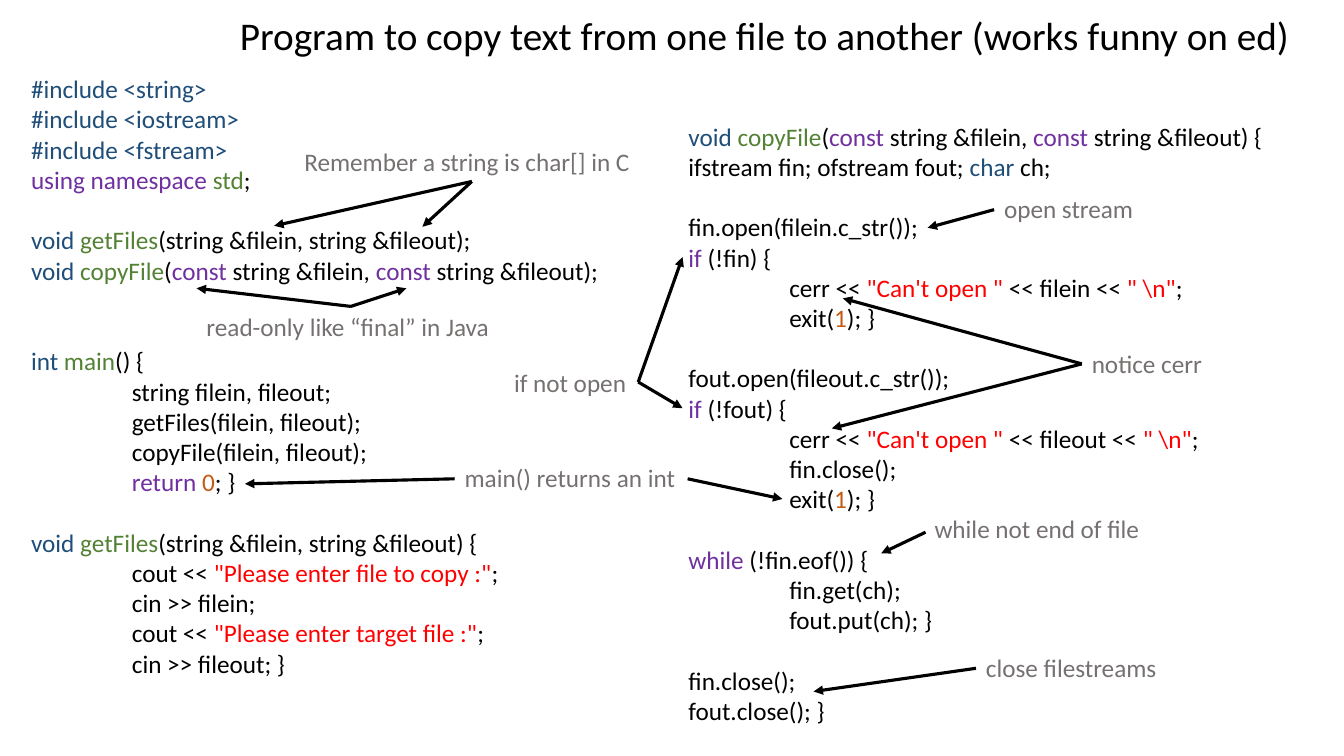
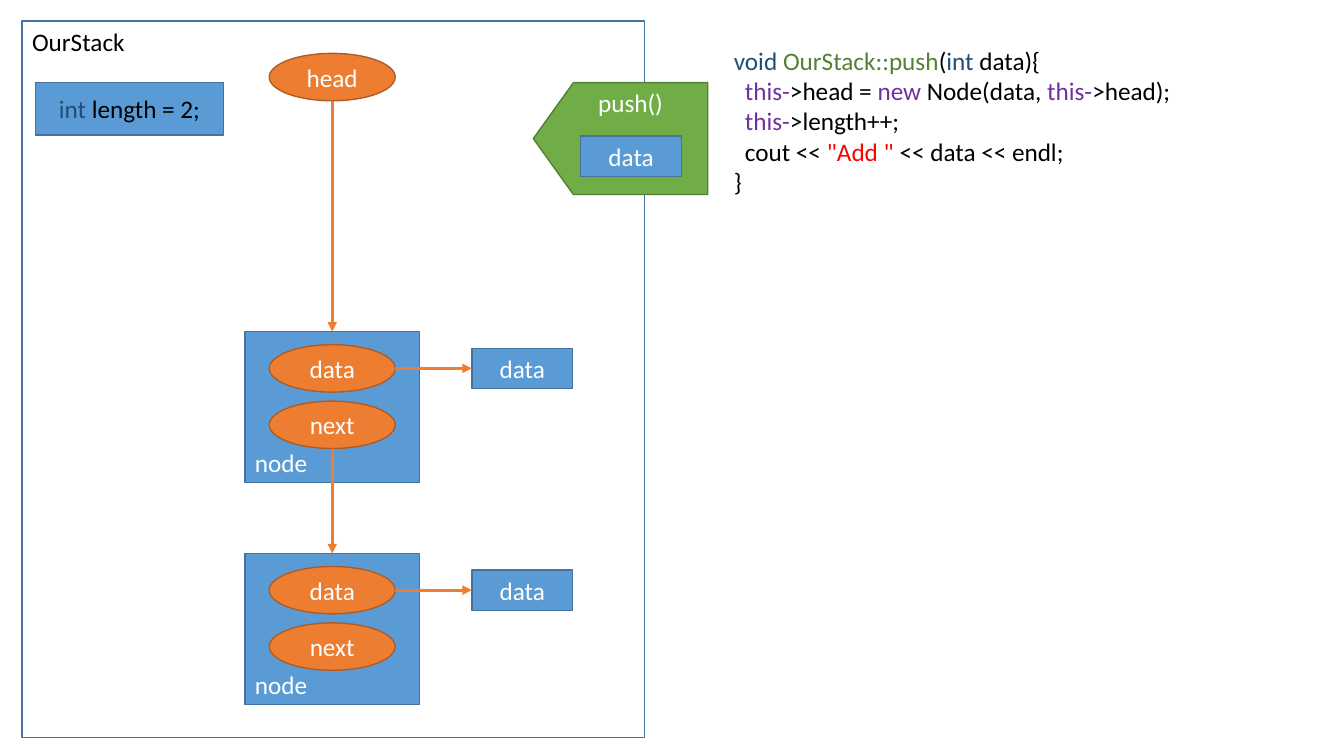
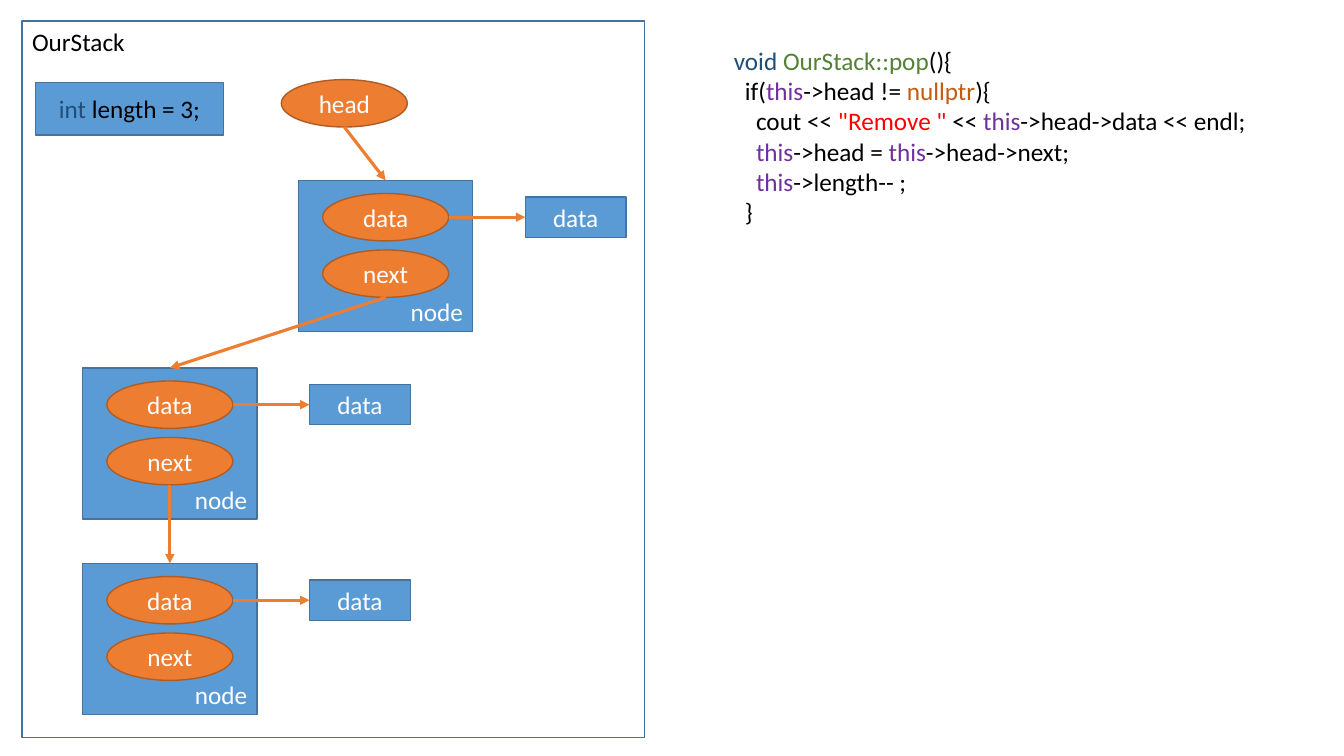
"""Build three slides on C++ file copying and a linked stack."""
from lxml import etree
from pptx import Presentation
from pptx.dml.color import RGBColor
from pptx.enum.shapes import MSO_CONNECTOR, MSO_SHAPE
from pptx.enum.text import MSO_ANCHOR, MSO_AUTO_SIZE, PP_ALIGN
from pptx.oxml.ns import qn
from pptx.util import Inches, Pt

LEFT, CENTER, RIGHT = PP_ALIGN.LEFT, PP_ALIGN.CENTER, PP_ALIGN.RIGHT
TOP, MIDDLE, BOTTOM = MSO_ANCHOR.TOP, MSO_ANCHOR.MIDDLE, MSO_ANCHOR.BOTTOM
RECTANGLE, ELLIPSE, PLATE = MSO_SHAPE.RECTANGLE, MSO_SHAPE.OVAL, MSO_SHAPE.PENTAGON
GROW, STRAIGHT = MSO_AUTO_SIZE.SHAPE_TO_FIT_TEXT, MSO_CONNECTOR.STRAIGHT

FONT, SIZE, LINE_PITCH = "Calibri", 18, 21.6
BLACK, WHITE, GRAY = "000000", "FFFFFF", "767171"
BLUE, BLUE_EDGE = "5B9BD5", "43739E"
ORANGE, ORANGE_EDGE = "ED7D31", "AF5C24"
GREEN, GREEN_EDGE = "70AD47", "538035"
SYNTAX = {"type": "1F4E79", "key": "7030A0", "name": "548235", "num": "C55A11", "str": "FF0000"}

TITLE = "Program to copy text from one file to another (works funny on ed)"
MAIN_CODE = [
    "`type:#include <string>`",
    "`type:#include <iostream>`",
    "`type:#include <fstream>`",
    "`key:using namespace ``name:std`;",
    "",
    "`type:void ``name:getFiles`(string &filein, string &fileout);",
    "`type:void ``name:copyFile`(`key:const` string &filein, `key:const` string &fileout);",
    "",
    "",
    "`type:int ``name:main`() {",
    "\tstring filein, fileout;",
    "\tgetFiles(filein, fileout);",
    "\tcopyFile(filein, fileout);",
    "\t`key:return ``num:0`; }",
    "",
    "`type:void ``name:getFiles`(string &filein, string &fileout) {",
    "\tcout << `str:\"Please enter file to copy :\"`;",
    "\tcin >> filein;",
    "\tcout << `str:\"Please enter target file :\"`;",
    "\tcin >> fileout; }",
]
COPY_CODE = [
    "`type:void ``name:copyFile`(`key:const `string &filein, `key:const` string &fileout) {",
    "ifstream fin; ofstream fout; `type:char `ch;",
    "",
    "fin.open(filein.c_str());",
    "`key:if` (!fin) {",
    "\tcerr << `str:\"Can't open \"` << filein << `str:\" \\n\"`;",
    "\texit(`num:1`); }",
    "",
    "fout.open(fileout.c_str());",
    "`key:if` (!fout) {",
    "\tcerr << `str:\"Can't open \"` << fileout << `str:\" \\n\"`;",
    "\tfin.close();",
    "\texit(`num:1`); }",
    "",
    "`key:while` (!fin.eof()) {",
    "\tfin.get(ch);",
    "\tfout.put(ch); }",
    "",
    "fin.close();",
    "fout.close(); }",
]
PUSH_CODE = [
    "`type:void ``name:OurStack::push`(`type:int `data){",
    "\t`key:this-`>head = `key:new` Node(data, `key:this-`>head);",
    "\t`key:this-`>length++;",
    "\tcout << `str:\"Add \" `<< data << endl;",
    "}",
]
POP_CODE = [
    "`type:void ``name:OurStack::pop`(){",
    "\tif(`key:this`->head != `num:nullptr`){",
    "\t\tcout << `str:\"Remove \" `<< `key:this`->head->data << endl;",
    "\t\t`key:this`->head = `key:this`->head->next;",
    "\t\t`key:this`->length-- ;",
    "\t}",
]
NOTES = [
    ("open stream", (9.86, 1.87, 1.5), (9.86, 2.08), [(9.2, 2.26)]),
    ("notice cerr", (10.73, 3.41, 1.31), (10.73, 3.61), [(8.36, 2.96), (8.25, 4.25)]),
    ("while not end of file", (9.17, 5.04, 2.25), (9.18, 5.28), [(8.74, 5.49)]),
    ("close filestreams", (9.68, 6.42, 1.91), (9.68, 6.63), [(8.07, 6.86)]),
    ("if not open", (5, 3.59, 1.33), (6.33, 3.79), [(6.77, 2.55), (6.77, 4.05)]),
    ("read-only like “final” in Java", (1.95, 3.04, 3), (3.48, 3.04),
     [(1.95, 2.86), (4.03, 2.86)]),
    ("main() returns an int", (4.51, 4.54, 2.32), (6.82, 4.75), [(7.76, 4.95)]),
    ("Remember a string is char[] in C", (2.92, 1.4, 3.52), (4.68, 1.8),
     [(2.72, 2.24), (4.19, 2.25)]),
]
RETURN_ARROW = ((4.51, 4.75), (2.43, 4.8))
STACKS = [
    {"code": PUSH_CODE, "code_size": (4.59, 1.62), "length": 2, "head": (2.67, 0.53),
     "nodes": [(2.43, 3.29), (2.43, 5.49)], "align": LEFT, "push": True},
    {"code": POP_CODE, "code_size": (5.35, 1.92), "length": 3, "head": (2.79, 0.79),
     "nodes": [(2.96, 1.79), (0.82, 3.65), (0.82, 5.59)], "align": RIGHT, "push": False},
]
NODE_WIDTH, NODE_HEIGHT = 1.73, 1.5
OVAL_WIDTH, OVAL_HEIGHT = 1.25, 0.47
OVAL_LEFT, DATA_TOP, NEXT_TOP = 0.24, 0.13, 0.69
VALUE_LEFT, VALUE_WIDTH, VALUE_HEIGHT = 2.25, 1, 0.4


def rgb(code):
    """Turn a hex string into a colour."""
    return RGBColor.from_string(code)


def write(frame, lines, color=BLACK, size=SIZE, align=LEFT, anchor=TOP, indent=0, wrap=True):
    """Fill a text frame; backquotes mark coloured spans and tabs mark indents."""
    frame.word_wrap, frame.vertical_anchor = wrap, anchor
    para, gap = frame.paragraphs[0], 0
    for number, line in enumerate(lines):
        if not line:
            gap += LINE_PITCH
            continue
        if number:
            para = frame.add_paragraph()
        para.alignment, para.space_before = align, Pt(gap)
        gap = 0
        content = line.lstrip("\t")
        depth = len(line) - len(content)
        if depth:
            properties = para._p.get_or_add_pPr()
            properties.set("marL", str(Inches(depth * indent)))
            properties.set("indent", "0")
        for position, piece in enumerate(content.split("`")):
            if not piece:
                continue
            kind, _, colored = piece.partition(":") if position % 2 else ("", "", piece)
            span = para.add_run()
            span.text = colored
            span.font.name, span.font.size = FONT, Pt(size)
            span.font.color.rgb = rgb(SYNTAX.get(kind, color))


def add_text(page, lines, at, **style):
    """Add a text box that grows with its text."""
    box = page.shapes.add_textbox(*map(Inches, at))
    write(box.text_frame, lines, **style)
    box.text_frame.auto_size = GROW


def add_box(page, kind, at, text, fill, edge, color=WHITE, align=CENTER, anchor=MIDDLE):
    """Add a labelled preset shape."""
    box = page.shapes.add_shape(kind, *map(Inches, at))
    box.shadow.inherit = False
    if fill:
        box.fill.solid()
        box.fill.fore_color.rgb = rgb(fill)
    else:
        box.fill.background()
    box.line.color.rgb, box.line.width = rgb(edge), Pt(1)
    write(box.text_frame, [text], color=color, align=align, anchor=anchor)
    return box


def add_arrow(page, start, end, color):
    """Add a straight arrow between two points."""
    arrow = page.shapes.add_connector(STRAIGHT, *map(Inches, (*start, *end)))
    arrow.line.color.rgb, arrow.line.width = rgb(color), Pt(2.25)
    etree.SubElement(arrow.line._get_or_add_ln(), qn("a:tailEnd"), type="triangle")
    etree.SubElement(arrow._element.spPr, qn("a:effectLst"))


def add_oval(page, left, top, text):
    """Add a pointer oval and return the middle of its lower edge."""
    add_box(page, ELLIPSE, (left, top, OVAL_WIDTH, OVAL_HEIGHT), text, ORANGE, ORANGE_EDGE)
    return left + OVAL_WIDTH / 2, top + OVAL_HEIGHT


def add_value(page, left, top):
    """Add a data value box."""
    add_box(page, RECTANGLE, (left, top, VALUE_WIDTH, VALUE_HEIGHT), "data", BLUE, BLUE_EDGE)


def add_node(page, left, top, align):
    """Add a node with its value and return where its next pointer starts."""
    add_box(page, RECTANGLE, (left, top, NODE_WIDTH, NODE_HEIGHT), "node", BLUE, BLUE_EDGE,
            align=align, anchor=BOTTOM)
    oval_left = left + OVAL_LEFT
    add_oval(page, oval_left, top + DATA_TOP, "data")
    next_end = add_oval(page, oval_left, top + NEXT_TOP, "next")
    middle = top + DATA_TOP + OVAL_HEIGHT / 2
    add_value(page, left + VALUE_LEFT, middle - VALUE_HEIGHT / 2)
    add_arrow(page, (oval_left + OVAL_WIDTH, middle), (left + VALUE_LEFT, middle), ORANGE)
    return next_end


def add_push(page):
    """Add the push method tab with its argument."""
    tab = add_box(page, PLATE, (5.29, 0.82, 1.73, 1.11), "push()", GREEN, GREEN_EDGE, anchor=TOP)
    tab.adjustments[0] = 0.358
    tab._element.spPr.get_or_add_xfrm().set("flipH", "1")
    add_value(page, 5.76, 1.35)


def build_program(deck):
    """Build the annotated listing."""
    page = deck.slides.add_slide(deck.slide_layouts[5])
    title = page.shapes.title
    title.left, title.top, title.width, title.height = map(Inches, (2.28, 0.06, 10.72, 0.57))
    write(title.text_frame, [TITLE], size=28, wrap=False)
    title.text_frame.auto_size = GROW
    add_text(page, MAIN_CODE, (0.21, 0.68, 6.06, 6.16), indent=1)
    add_text(page, COPY_CODE, (6.73, 1.15, 6.47, 6.16), indent=1)
    for text, place, start, targets in NOTES:
        add_text(page, [text], (*place, 0.4), color=GRAY, wrap=False)
        for target in targets:
            add_arrow(page, start, target, BLACK)
    add_arrow(page, *RETURN_ARROW, BLACK)


def build_stack(deck, stack):
    """Build one state of the linked stack beside its method."""
    page = deck.slides.add_slide(deck.slide_layouts[6])
    add_text(page, stack["code"], (7.18, 0.4, *stack["code_size"]), indent=0.11, wrap=False)
    add_box(page, RECTANGLE, (0.22, 0.21, 6.17, 7.11), "OurStack", None, BLUE_EDGE,
            color=BLACK, align=LEFT, anchor=TOP)
    add_box(page, RECTANGLE, (0.35, 0.82, 1.87, 0.52),
            f"`type:int` length = {stack['length']};", BLUE, BLUE_EDGE, color=BLACK)
    if stack["push"]:
        add_push(page)
    starts = [add_oval(page, *stack["head"], "head")]
    starts += [add_node(page, left, top, stack["align"]) for left, top in stack["nodes"]]
    for start, (left, top) in zip(starts, stack["nodes"]):
        add_arrow(page, start, (left + NODE_WIDTH / 2, top), ORANGE)


def main():
    """Build and save the deck."""
    deck = Presentation()
    deck.slide_width, deck.slide_height = Inches(13.33), Inches(7.5)
    build_program(deck)
    for stack in STACKS:
        build_stack(deck, stack)
    deck.save("out.pptx")


main()
